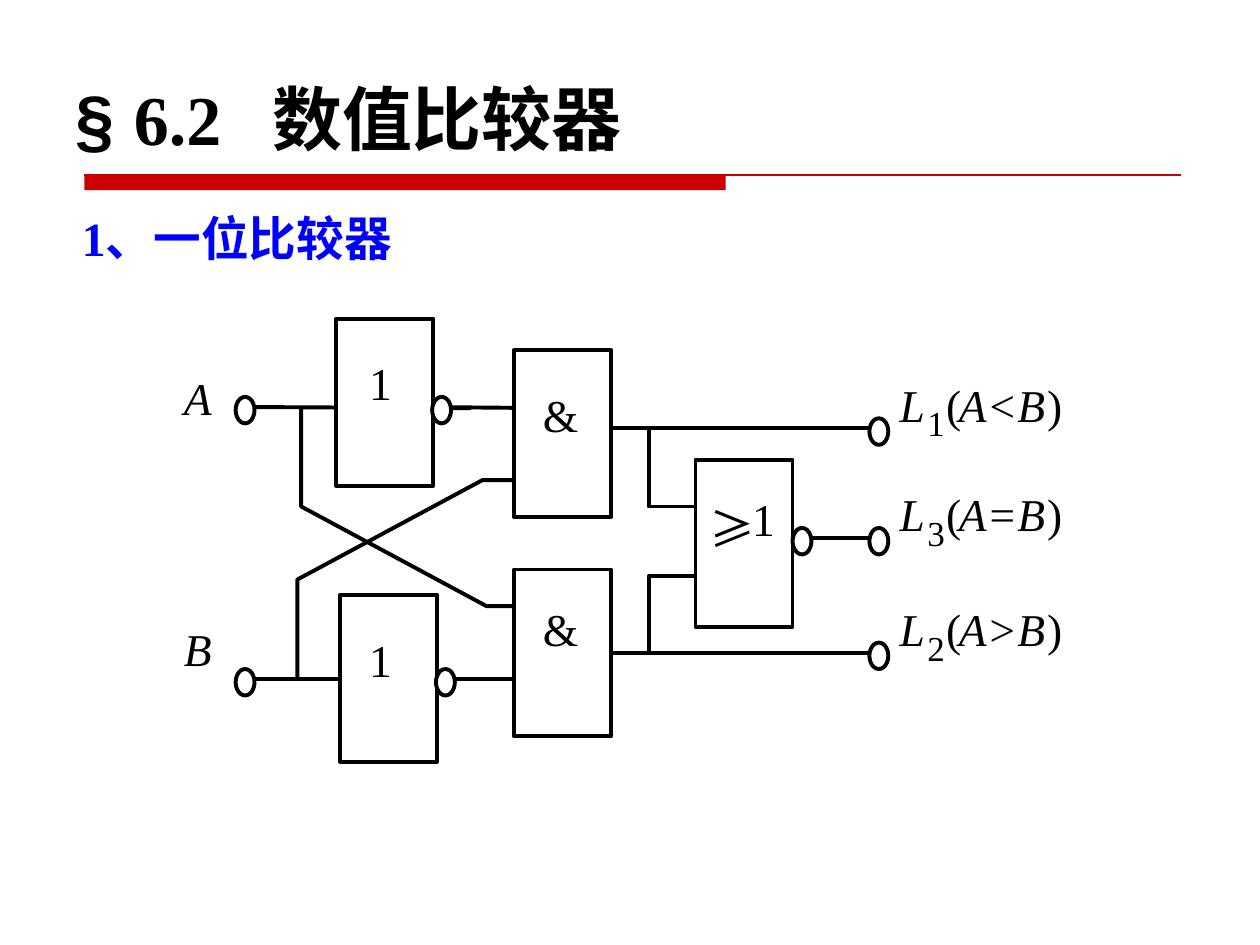
from dataclasses import dataclass

import pptx
import pptx.dml.color
import pptx.enum.shapes
import pptx.enum.text
import pptx.oxml.ns
import pptx.util
from lxml import etree


@dataclass(frozen=True)
class Theme:
    """Colours, fonts and type sizes of the slide."""
    ink: str = "000000"
    paper: str = "FFFFFF"
    accent: str = "CC0000"
    heading: str = "0000FF"
    latin: str = "Times New Roman"
    symbol: str = "Arial"
    chinese: str = "Noto Sans CJK SC"
    title_size: float = 40
    heading_size: float = 27.2
    label_size: float = 26
    index_size: float = 20
    wire_width: float = 2.25
    rule_width: float = 0.75


THEME = Theme()
COLUMNS, ROWS = 100, 75
WIDTH, HEIGHT = pptx.util.Inches(10), pptx.util.Inches(7.5)
GATE_SIZE = (7.7, 13.25)
BUBBLE_SIZE = (1.5, 2.1)
SHAPES = pptx.enum.shapes.MSO_SHAPE

WIRES = [
    ((62, 42.7), (69.3, 42.7)),
    ((33.1, 53.9), (44.2, 53.9)),
    ((33.1, 32.3), (44.2, 32.4)),
    ((19, 32.3), (37.4, 32.4)),
    ((19, 53.9), (37.4, 53.9)),
    ((48.1, 34), (69, 34)),
]
BENDS = [
    [(23.6, 53.9), (23.6, 46), (38.3, 38.1), (45.7, 38.1)],
    [(23.9, 32.3), (23.9, 40.2), (38.6, 48.1), (46, 48.1)],
    [(51.5, 34), (51.5, 40.2), (58.9, 40.2)],
    [(51.5, 51.9), (51.5, 45.7), (58.9, 45.7)],
]
GATES = [(26.7, 25.3), (27, 47.2), (55.2, 36.5), (40.8, 27.8)]
LOWER_AND = (40.8, 45.2)
BUBBLES = [(18.7, 31.5), (18.7, 53.1), (34.3, 31.5), (34.6, 53.1),
           (62.9, 41.9), (69, 33.2), (69, 51), (69, 41.9)]
GATE_LABELS = [("1", 29.3, 28.2), ("1", 29.3, 50.2), ("1", 59.7, 39),
               ("&", 43.1, 30.7), ("&", 43.1, 47.7)]
INPUTS = [("A", 14.6, 29.4), ("B", 14.6, 49.3)]
OUTPUTS = [("1", "A<B", 29.9), ("3", "A=B", 38.6), ("2", "A>B", 47.7)]


def place(column, row):
    """Turn a grid column and row into slide lengths."""
    return round(WIDTH * column / COLUMNS), round(HEIGHT * row / ROWS)


def colour(value):
    """Return the RGB colour for a hex string."""
    return pptx.dml.color.RGBColor.from_string(value)


def write(paragraph, text, *, size=THEME.label_size, font=THEME.latin,
          east_asian=THEME.chinese, ink=THEME.ink, bold=False, italic=False):
    """Add a formatted run to a paragraph."""
    run = paragraph.add_run()
    run.text = text
    run.font.size = pptx.util.Pt(size)
    run.font.name = font
    run.font.bold = bold
    run.font.italic = italic
    run.font.color.rgb = colour(ink)
    properties = run.font._element
    etree.SubElement(properties, pptx.oxml.ns.qn("a:ea"), typeface=east_asian)


def add_label(slide, text, column, row, width=2, height=4.3, **text_format):
    """Add an unwrapped label without insets."""
    box = slide.shapes.add_textbox(*place(column, row), *place(width, height))
    frame = box.text_frame
    frame.word_wrap = False
    frame.margin_left = frame.margin_right = 0
    frame.margin_top = frame.margin_bottom = 0
    write(frame.paragraphs[0], text, **text_format)


def add_block(slide, kind, corner, size, fill=THEME.paper, line=THEME.ink):
    """Add a filled preset shape, outlined when a line colour is given."""
    shape = slide.shapes.add_shape(kind, *place(*corner), *place(*size))
    shape.shadow.inherit = False
    shape.fill.solid()
    shape.fill.fore_color.rgb = colour(fill)
    if line:
        shape.line.color.rgb = colour(line)
        shape.line.width = pptx.util.Pt(THEME.wire_width)
    else:
        shape.line.fill.background()
    return shape


def add_wire(slide, start, end, ink=THEME.ink, width=THEME.wire_width):
    """Add a straight connector without a shadow."""
    wire = slide.shapes.add_connector(
        pptx.enum.shapes.MSO_CONNECTOR.STRAIGHT, *place(*start), *place(*end))
    wire.line.color.rgb = colour(ink)
    wire.line.width = pptx.util.Pt(width)
    etree.SubElement(wire._element.spPr, pptx.oxml.ns.qn("a:effectLst"))
    return wire


def add_bend(slide, points):
    """Add an open wire through several grid points."""
    start, *others = [place(*point) for point in points]
    builder = slide.shapes.build_freeform(*start, scale=1.0)
    builder.add_line_segments(others, close=False)
    bend = builder.convert_to_shape()
    bend.shadow.inherit = False
    bend.fill.background()
    bend.line.color.rgb = colour(THEME.ink)
    bend.line.width = pptx.util.Pt(THEME.wire_width)


def prepare(placeholder, corner, size):
    """Move a placeholder and return its left-aligned first paragraph."""
    placeholder.left, placeholder.top = place(*corner)
    placeholder.width, placeholder.height = place(*size)
    frame = placeholder.text_frame
    frame.word_wrap = True
    frame.auto_size = pptx.enum.text.MSO_AUTO_SIZE.NONE
    frame.vertical_anchor = pptx.enum.text.MSO_ANCHOR.TOP
    paragraph = frame.paragraphs[0]
    paragraph.alignment = pptx.enum.text.PP_ALIGN.LEFT
    paragraph.space_before = pptx.util.Pt(0)
    return paragraph


def add_headings(slide):
    """Fill the title and body placeholders and draw the rule."""
    title, body = slide.placeholders
    paragraph = prepare(title, (5, 5.5), (90, 8.6))
    properties = paragraph._element.get_or_add_pPr()
    tabs = etree.SubElement(properties, pptx.oxml.ns.qn("a:tabLst"))
    etree.SubElement(tabs, pptx.oxml.ns.qn("a:tab"),
                     pos=str(place(15.6, 0)[0]), algn="l")
    write(paragraph, "§ ", size=THEME.title_size, font=THEME.symbol,
          east_asian=THEME.symbol, bold=True)
    write(paragraph, "6.2\t数值比较器", size=THEME.title_size, bold=True)

    paragraph = prepare(body, (5.5, 16.6), (41.3, 5.9))
    paragraph.line_spacing = 0.9
    properties = paragraph._element.get_or_add_pPr()
    properties.set("marL", "0")
    properties.set("indent", "0")
    etree.SubElement(properties, pptx.oxml.ns.qn("a:buNone"))
    write(paragraph, "1、一位比较器", size=THEME.heading_size,
          ink=THEME.heading, bold=True)

    add_block(slide, SHAPES.RECTANGLE, (6.7, 13.9), (50.9, 1.2),
              fill=THEME.accent, line=None)
    add_wire(slide, (6.7, 13.9), (93.7, 13.9), THEME.accent, THEME.rule_width)


def add_circuit(slide):
    """Draw the wires, gates and terminals of the comparator."""
    for start, end in WIRES:
        add_wire(slide, start, end)
    output_wire = add_wire(slide, (48.5, 51.83), (69, 51.83))
    for points in BENDS:
        add_bend(slide, points)
    for corner in GATES:
        add_block(slide, SHAPES.RECTANGLE, corner, GATE_SIZE)
    lower_and = add_block(slide, SHAPES.RECTANGLE, LOWER_AND, GATE_SIZE)
    output_wire.begin_connect(lower_and, 3)
    for corner in BUBBLES:
        add_block(slide, SHAPES.OVAL, corner, BUBBLE_SIZE)


def add_labels(slide):
    """Name the gates, inputs and outputs."""
    for text, column, row in GATE_LABELS:
        add_label(slide, text, column, row)
    add_label(slide, "≥", 56.3, 39.8, width=3, font=THEME.chinese)
    for text, column, row in INPUTS:
        add_label(slide, text, column, row, italic=True)
    for index, relation, row in OUTPUTS:
        add_label(slide, "L", 71.4, row, italic=True)
        add_label(slide, index, 73.6, row + 2, 1.4, 3.3, size=THEME.index_size)
        add_label(slide, "(", 75.1, row, width=1.2)
        add_label(slide, relation, 76.1, row, width=6.9, italic=True)
        add_label(slide, ")", 83.1, row, width=1.2)


def main():
    """Build and save the slide."""
    presentation = pptx.Presentation()
    presentation.slide_width, presentation.slide_height = WIDTH, HEIGHT
    slide = presentation.slides.add_slide(presentation.slide_layouts[1])
    add_headings(slide)
    add_circuit(slide)
    add_labels(slide)
    presentation.save("out.pptx")


if __name__ == "__main__":
    main()
